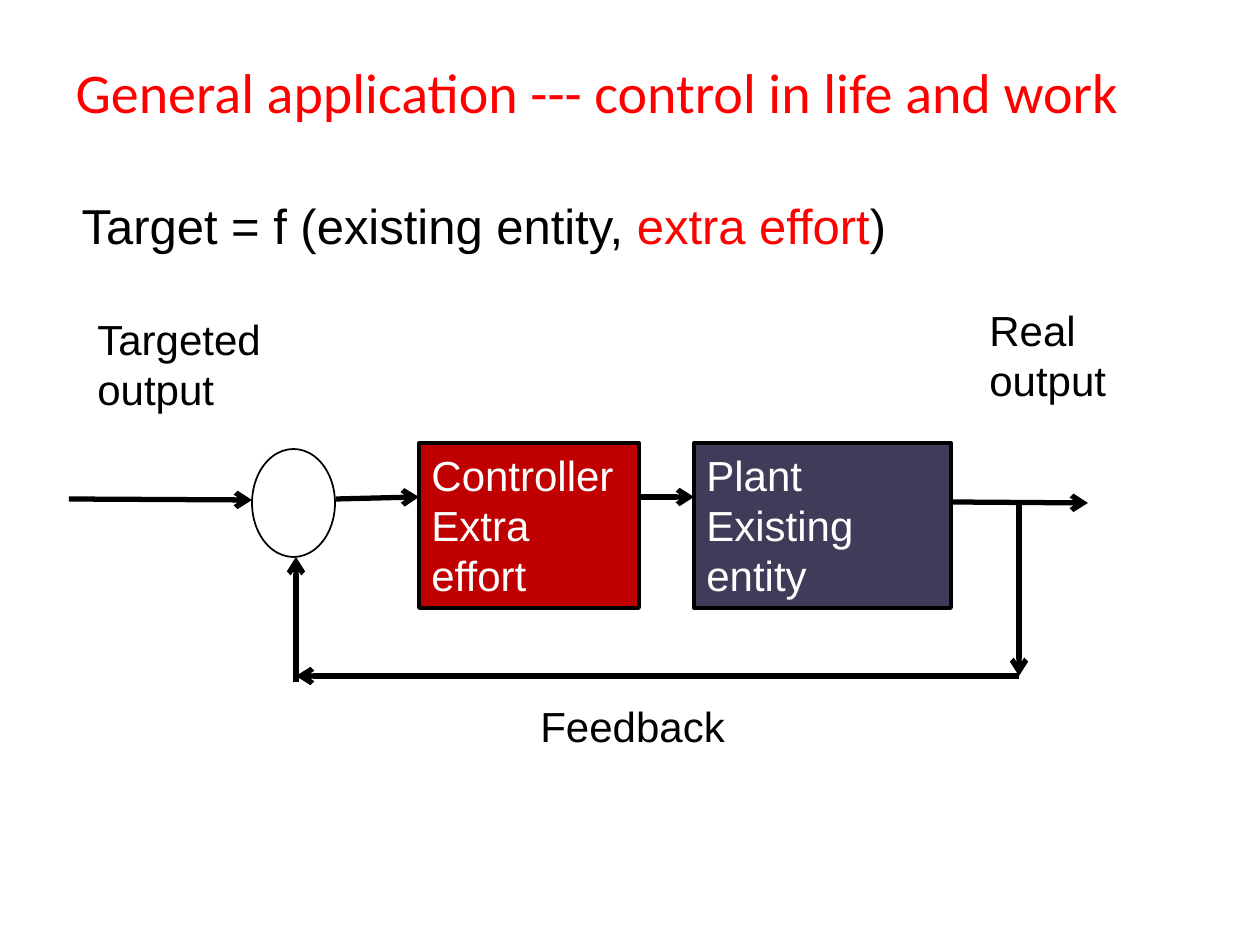
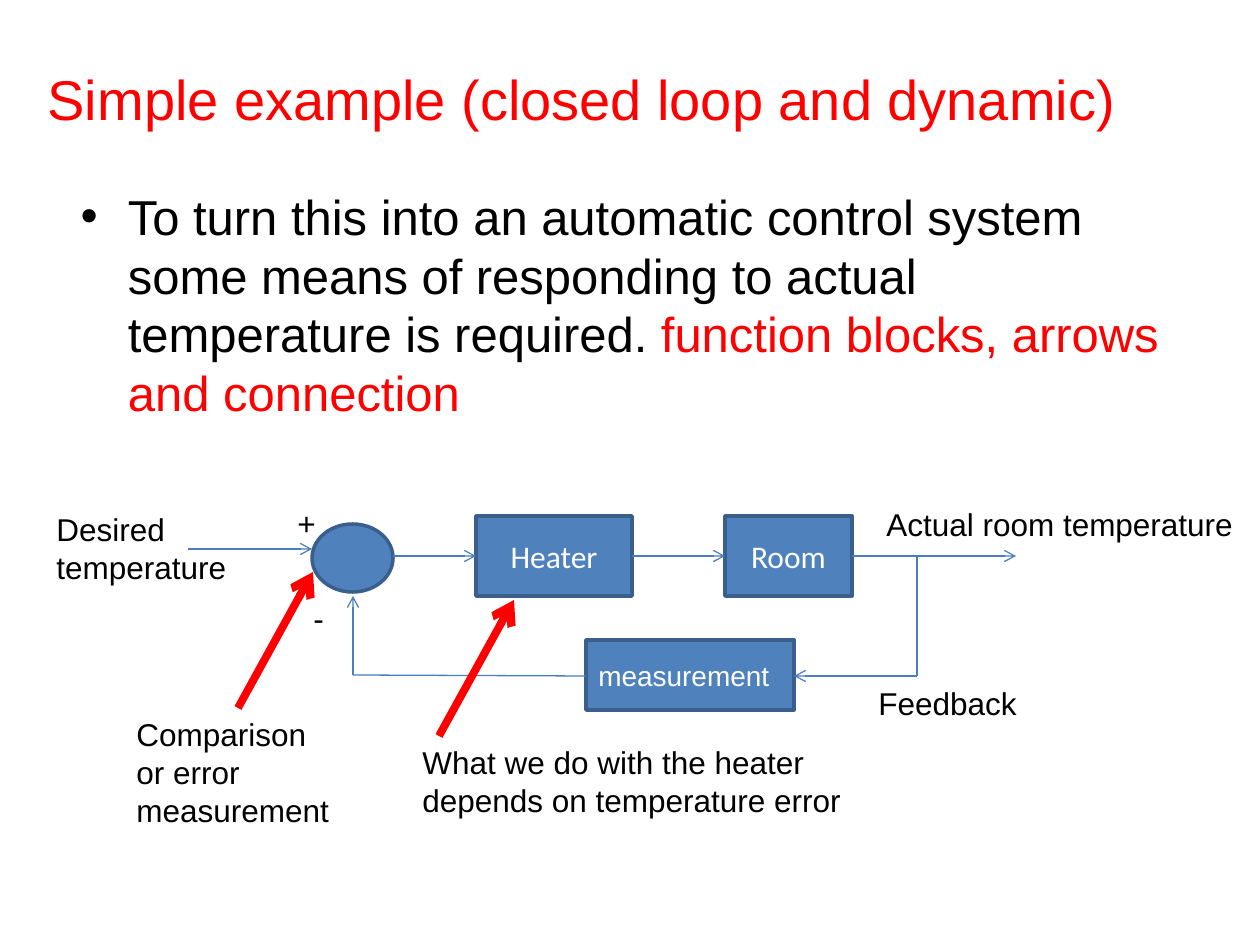
import pptx
import pptx.util
import pptx.dml.color
import pptx.enum.shapes
import pptx.enum.text
import pptx.oxml.ns
import lxml.etree

RGBColor = pptx.dml.color.RGBColor
SHAPES = pptx.enum.shapes.MSO_SHAPE
ANCHOR = pptx.enum.text.MSO_ANCHOR
ALIGN = pptx.enum.text.PP_ALIGN

BLACK = RGBColor(0x00, 0x00, 0x00)
WHITE = RGBColor(0xFF, 0xFF, 0xFF)
RED = RGBColor(0xFF, 0x00, 0x00)
DARK_RED = RGBColor(0xC0, 0x00, 0x00)
PLUM = RGBColor(0x41, 0x3B, 0x59)
BLUE = RGBColor(0x4F, 0x81, 0xBD)
BLUE_EDGE = RGBColor(0x3A, 0x5F, 0x8C)
BLUE_LINE = RGBColor(0x4B, 0x7E, 0xBC)

PX_PER_INCH = 126
SLIDE_SIZE = (1260, 945)


def emu(*lengths):
    return [round(length * 914400 / PX_PER_INCH) for length in lengths]


def set_font(paragraph, size, color=None, name="Arial"):
    paragraph.font.name = name
    paragraph.font.size = pptx.util.Pt(size)
    if color is not None:
        paragraph.font.color.rgb = color


def place(shape, bounds):
    shape.left, shape.top, shape.width, shape.height = emu(*bounds)


def add_page(deck, title, title_bounds, title_font, body_spans, body_bounds, bullet):
    """Add a slide with a red title and one body paragraph of coloured spans."""
    page = deck.slides.add_slide(deck.slide_layouts[1])
    heading, body = page.placeholders
    place(heading, title_bounds)
    heading.text_frame.text = title
    heading.text_frame.vertical_anchor = ANCHOR.MIDDLE
    para = heading.text_frame.paragraphs[0]
    para.alignment = ALIGN.LEFT
    set_font(para, 32, RED, title_font)

    place(body, body_bounds)
    body.text_frame.auto_size = pptx.enum.text.MSO_AUTO_SIZE.NONE
    para = body.text_frame.paragraphs[0]
    set_font(para, 28)
    for text, color in body_spans:
        span = para.add_run()
        span.text = text
        span.font.color.rgb = color
    if not bullet:
        properties = para._p.get_or_add_pPr()
        properties.set("marL", "0")
        properties.set("indent", "0")
        # The bullet setting must come before the default run properties
        properties.insert(0, lxml.etree.SubElement(
            properties, pptx.oxml.ns.qn("a:buNone")))
    return page


def add_label(page, text, bounds, size):
    box = page.shapes.add_textbox(*emu(*bounds))
    box.text_frame.word_wrap = True
    box.text_frame.text = text
    for para in box.text_frame.paragraphs:
        set_font(para, size, BLACK)


def add_block(page, kind, bounds, fill, edge, edge_width):
    block = page.shapes.add_shape(kind, *emu(*bounds))
    block.shadow.inherit = False
    if fill is None:
        block.fill.background()
    else:
        block.fill.solid()
        block.fill.fore_color.rgb = fill
    block.line.color.rgb = edge
    block.line.width = pptx.util.Pt(edge_width)
    return block


def write_block(block, text, size, align=ALIGN.LEFT, anchor=ANCHOR.MIDDLE, font="Arial"):
    block.text_frame.word_wrap = True
    block.text_frame.vertical_anchor = anchor
    block.text_frame.text = text
    for para in block.text_frame.paragraphs:
        para.alignment = align
        set_font(para, size, WHITE, font)


def add_line(page, ends, color, width, arrow=True):
    line = page.shapes.add_connector(
        pptx.enum.shapes.MSO_CONNECTOR.STRAIGHT, *emu(*ends))
    line.line.color.rgb = color
    line.line.width = pptx.util.Pt(width)
    properties = line._element.spPr
    if arrow:
        outline = properties.find(pptx.oxml.ns.qn("a:ln"))
        lxml.etree.SubElement(outline, pptx.oxml.ns.qn("a:tailEnd"), type="arrow")
    lxml.etree.SubElement(properties, pptx.oxml.ns.qn("a:effectLst"))


def build_general_page(deck):
    page = add_page(
        deck, "General application --- control in life and work",
        (63, 38, 1134, 106), "Calibri",
        [("Target = f (existing entity, ", BLACK), ("extra effort", RED), (")", BLACK)],
        (69, 189, 1134, 80), bullet=False)

    # Labels around the loop
    for text, bounds in [
        ("Targeted\noutput", (85, 307, 208, 115)),
        ("Real\noutput", (977, 298, 171, 115)),
        ("Feedback", (528, 694, 238, 63)),
    ]:
        add_label(page, text, bounds, 24)

    # Comparison point and function blocks
    add_block(page, SHAPES.OVAL, (252, 449, 83, 108), None, BLACK, 1)
    for text, left, width, fill in [
        ("Controller\nExtra effort", 419, 220, DARK_RED),
        ("Plant\nExisting entity", 694, 257, PLUM),
    ]:
        block = add_block(page, SHAPES.RECTANGLE, (left, 443, width, 165),
                          fill, BLACK, 2.25)
        write_block(block, text, 24, anchor=ANCHOR.TOP)

    # Signal path, then the feedback path
    for ends in [
        (69, 499, 252, 500),
        (336, 499, 419, 497),
        (639, 497, 694, 497),
        (951, 502, 1088, 503),
        (1019, 500, 1019, 676),
        (1019, 676, 296, 676),
        (296, 682, 296, 557),
    ]:
        add_line(page, ends, BLACK, 3)


def build_example_page(deck):
    page = add_page(
        deck, "Simple example (closed loop and dynamic)",
        (35, 38, 1201, 120), "Arial",
        [("To turn this into an automatic control system some means of responding "
          "to actual temperature is required. ", BLACK),
         ("function blocks, arrows and connection", RED)],
        (68, 180, 1134, 277), bullet=True)

    # Function blocks and comparison point
    for text, bounds, size, align, font in [
        ("Heater", (476, 516, 156, 80), 18, ALIGN.CENTER, "Calibri"),
        ("Room", (725, 516, 127, 80), 18, ALIGN.CENTER, "Calibri"),
        ("measurement", (586, 640, 208, 70), 16, ALIGN.LEFT, "Arial"),
    ]:
        block = add_block(page, SHAPES.RECTANGLE, bounds, BLUE, BLUE_EDGE, 2)
        write_block(block, text, size, align, font=font)
    add_block(page, SHAPES.OVAL, (312, 524, 81, 68), BLUE, BLUE_EDGE, 2)

    # Signal arrows
    for ends in [
        (188, 549, 312, 549),
        (393, 556, 476, 556),
        (632, 556, 725, 556),
        (852, 556, 1016, 556),
        (917, 676, 794, 676),
        (353, 675, 353, 596),
    ]:
        add_line(page, ends, BLUE_LINE, 0.75)

    # Plain feedback lines
    for ends in [(917, 676, 917, 556), (586, 676, 353, 675)]:
        add_line(page, ends, BLUE_LINE, 0.75, arrow=False)

    # Red pointers from the remarks
    for left, bottom in [(238, 708), (439, 736)]:
        add_line(page, (left, bottom, left + 75, bottom - 136), RED, 4.5)

    # Labels and remarks
    for text, bounds in [
        ("Desired\ntemperature", (44, 504, 197, 89)),
        ("Actual room temperature", (874, 499, 375, 50)),
        ("+", (285, 498, 43, 50)),
        ("-", (301, 593, 52, 50)),
        ("Comparison or error measurement", (124, 709, 228, 127)),
        ("What we do with the heater depends on temperature error",
         (410, 737, 523, 89)),
        ("Feedback", (866, 678, 210, 50)),
    ]:
        add_label(page, text, bounds, 18)


def main():
    deck = pptx.Presentation()
    deck.slide_width, deck.slide_height = emu(*SLIDE_SIZE)
    build_general_page(deck)
    build_example_page(deck)
    deck.save("out.pptx")


if __name__ == "__main__":
    main()
